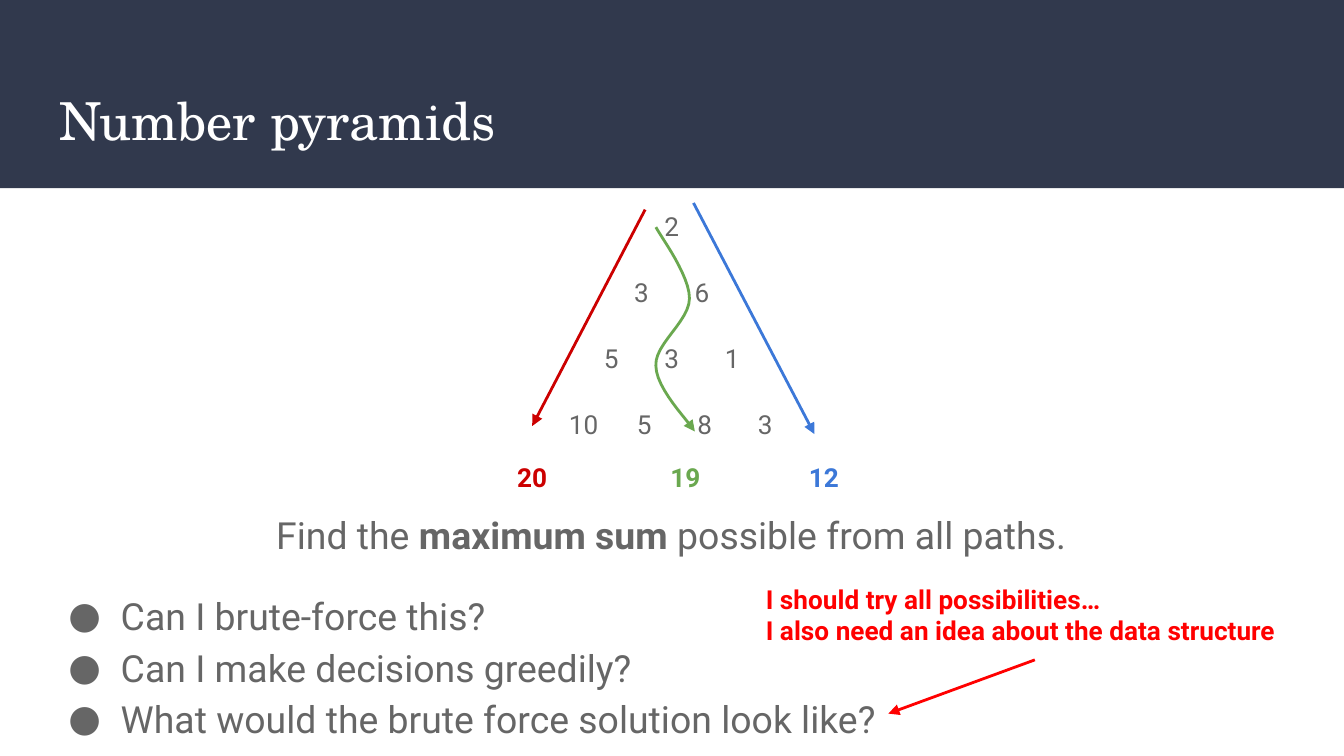
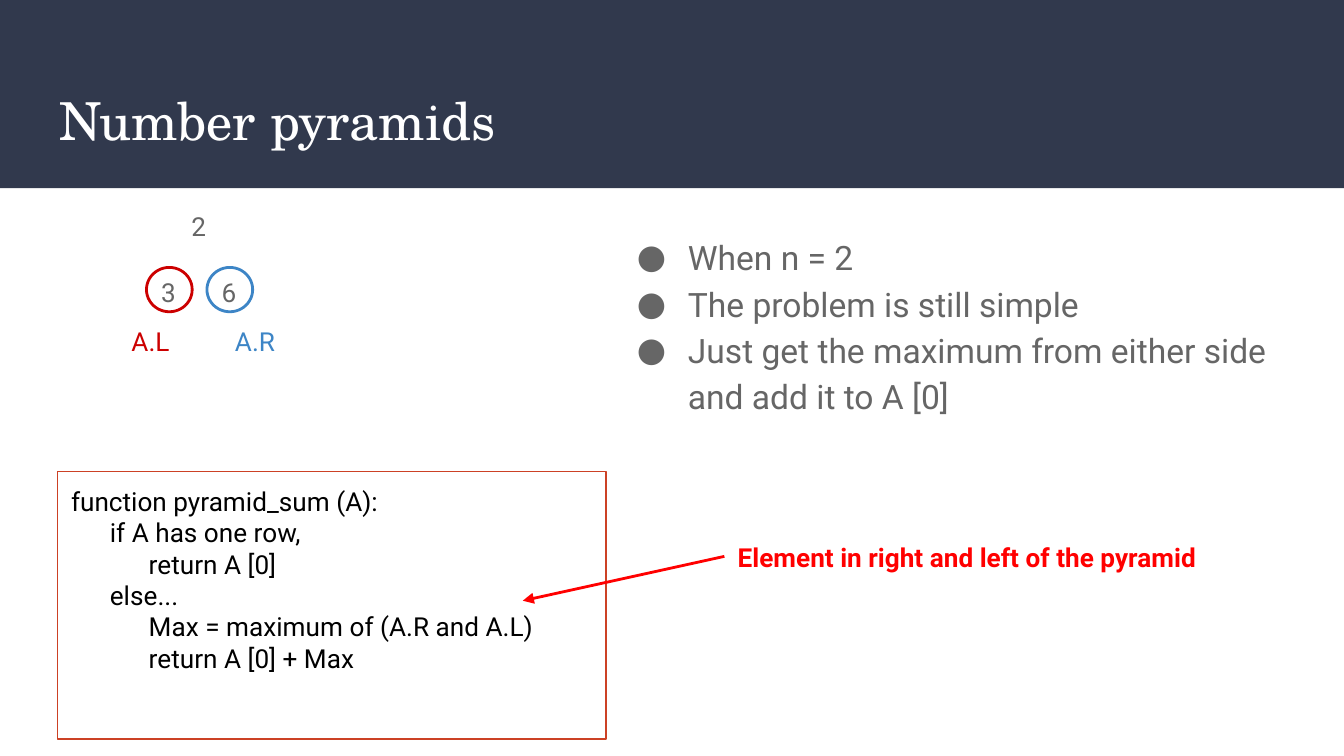
from dataclasses import dataclass
from lxml.etree import SubElement
from pptx import Presentation
from pptx.dml.color import RGBColor
from pptx.enum.shapes import MSO_CONNECTOR, MSO_SHAPE
from pptx.enum.text import MSO_ANCHOR, MSO_AUTO_SIZE, PP_ALIGN
from pptx.oxml.ns import qn
from pptx.util import Inches, Pt


@dataclass(frozen=True)
class Theme:
    # Colours
    band: str = "31394D"
    white: str = "FFFFFF"
    grey: str = "666666"
    black: str = "000000"
    left: str = "CC0000"
    right: str = "3C78D8"
    mid: str = "6AA84F"
    ring: str = "3D85C6"
    frame: str = "CC4125"
    note: str = "FF0000"
    # Fonts and sizes
    head: str = "TeX Gyre Schola"
    body: str = "Roboto"
    title: int = 28
    lead: int = 20
    list: int = 18
    small: int = 14
    line: float = 1.5
    thin: float = 0.75


def spot(*sizes):
    return [Inches(size) for size in sizes]


class Deck:
    def __init__(self, theme):
        self.theme = theme
        self.file = Presentation()
        # Widescreen, 16 to 9
        self.file.slide_width, self.file.slide_height = spot(10, 10 * 9 / 16)
        self.slide = None

    def page(self, title):
        """Start a slide with the band and its title."""
        layout = self.file.slide_layouts[5]
        self.slide = self.file.slides.add_slide(layout)
        band = self.shape(MSO_SHAPE.RECTANGLE, (0, 0, 10, 1.4))
        band.fill.solid()
        band.fill.fore_color.rgb = RGBColor.from_string(self.theme.band)
        self.slide.shapes._spTree.insert(2, band._element)
        head = self.slide.shapes.title
        head.left, head.top, head.width, head.height = spot(0.34, 0.55, 9.32, 0.68)
        frame = self.fill(head, [title], self.theme.title, self.theme.white,
                          face=self.theme.head)
        frame.vertical_anchor = MSO_ANCHOR.MIDDLE

    def shape(self, kind, box, color=None, width=None):
        """Add an unfilled shape, with an outline if a colour is given."""
        item = self.slide.shapes.add_shape(kind, *spot(*box))
        item.fill.background()
        self.style(item, color, width)
        return item

    def style(self, item, color, width=None):
        item.shadow.inherit = False
        if color:
            item.line.color.rgb = RGBColor.from_string(color)
            item.line.width = Pt(width or self.theme.line)
        else:
            item.line.fill.background()

    def fill(self, item, lines, size, color, bold=False, face=None):
        """Write lines into a shape; *stars* mark bold words."""
        frame = item.text_frame
        frame.word_wrap = True
        frame.auto_size = MSO_AUTO_SIZE.NONE
        frame.vertical_anchor = MSO_ANCHOR.TOP
        frame.margin_left = frame.margin_right = Inches(0.1)
        frame.margin_top = frame.margin_bottom = Inches(0.1)
        frame.text = "\n".join(lines)
        for para in frame.paragraphs:
            para.alignment = PP_ALIGN.LEFT
            parts = para.text.split("*")
            para.text = parts[0]
            for part in parts[1:]:
                para.add_run().text = part
            for count, run in enumerate(para.runs):
                run.font.name = face or self.theme.body
                run.font.size = Pt(size)
                run.font.bold = bold or (len(parts) > 1 and count % 2 == 1)
                run.font.color.rgb = RGBColor.from_string(color)
        return frame

    def text(self, box, lines, color, size=None, bold=False):
        item = self.slide.shapes.add_textbox(*spot(*box))
        return self.fill(item, lines, size or self.theme.small, color, bold)

    def dots(self, paras, indent):
        """Turn paragraphs into a bulleted list."""
        for para in paras:
            para.line_spacing = 1.15
            props = para._p.get_or_add_pPr()
            props.set("marL", str(Inches(0.5)))
            props.set("indent", str(-Inches(indent)))
            tint = SubElement(props, qn("a:buClr"))
            SubElement(tint, qn("a:srgbClr"), val=self.theme.grey)
            SubElement(props, qn("a:buFont"), typeface=self.theme.body)
            SubElement(props, qn("a:buChar"), char="●")

    def pile(self, box, rows, pitch=0.45):
        """Set rows of numbers on centred tab stops, as a pyramid."""
        lines = ["".join("\t" + num for num in row) for row in rows]
        frame = self.text(box, lines, self.theme.grey)
        for level, (para, row) in enumerate(zip(frame.paragraphs, rows)):
            para.line_spacing = 1.15
            para.space_before = Pt(16 if level else 0)
            # A wide first number pushes its row slightly right
            mid = box[2] / 2 - 0.1 + 0.02 * (len(row[0]) - 1)
            first = mid - pitch * (len(row) - 1) / 2
            tabs = SubElement(para._p.get_or_add_pPr(), qn("a:tabLst"))
            for col in range(len(row)):
                place = Inches(first + col * pitch)
                SubElement(tabs, qn("a:tab"), pos=str(place), algn="ctr")

    def tip(self, item):
        SubElement(item.line._get_or_add_ln(), qn("a:tailEnd"), type="triangle")

    def arrow(self, start, end, color):
        item = self.slide.shapes.add_connector(
            MSO_CONNECTOR.STRAIGHT, *spot(*start, *end))
        item.line.color.rgb = RGBColor.from_string(color)
        item.line.width = Pt(self.theme.line)
        self.tip(item)
        SubElement(item._element.spPr, qn("a:effectLst"))

    def curve(self, start, bends, color, steps=12):
        """Draw cubic bends, each given as two handles and an end."""
        points, last = [], start
        for bend in bends:
            knots = (last, *bend)
            for step in range(1, steps + 1):
                t = step / steps
                rates = ((1 - t) ** 3, 3 * t * (1 - t) ** 2,
                         3 * t ** 2 * (1 - t), t ** 3)
                points.append(spot(*(
                    sum(rate * knot[axis] for rate, knot in zip(rates, knots))
                    for axis in (0, 1))))
            last = bend[-1]
        path = self.slide.shapes.build_freeform(*spot(*start))
        path.add_line_segments(points, close=False)
        item = path.convert_to_shape()
        item.fill.background()
        self.style(item, color)
        self.tip(item)


def paths(deck):
    look = deck.theme
    deck.page("Number pyramids")

    # Task and questions
    frame = deck.text((0.3, 3.66, 9.39, 1.99), [
        "Find the *maximum sum* possible from all paths.",
        "Can I brute-force this?",
        "Can I make decisions greedily?",
        "What would the brute force solution look like?",
    ], look.grey, look.lead)
    task, *asks = frame.paragraphs
    task.alignment = PP_ALIGN.CENTER
    task.line_spacing = 1.15
    deck.dots(asks, 0.39)
    asks[0].space_before = Pt(16)

    # Pyramid with three paths and their sums
    deck.pile((1.55, 1.43, 6.9, 2.08),
              [["2"], ["3", "6"], ["5", "3", "1"], ["10", "5", "8", "3"]])
    deck.arrow((4.8, 1.56), (3.96, 3.17), look.left)
    deck.arrow((5.16, 1.51), (6.06, 3.23), look.right)
    deck.curve((4.88, 1.69), [
        ((4.93, 1.78), (5.13, 2.05), (5.13, 2.22)),
        ((5.13, 2.39), (4.87, 2.56), (4.88, 2.72)),
        ((4.88, 2.89), (5.12, 3.13), (5.17, 3.21)),
    ], look.mid)
    for left, width, total, color in ((3.75, 0.49, "20", look.left),
                                      (4.89, 0.49, "19", look.mid),
                                      (5.92, 0.66, "12", look.right)):
        deck.text((left, 3.33, width, 0.44), [total], color, bold=True)

    # Hint, one paragraph with a line break
    deck.text((5.6, 4.24, 4.19, 0.67), [
        "I should try all possibilities… \v"
        "I also need an idea about the data structure",
    ], look.note, bold=True)
    deck.arrow((7.7, 4.91), (6.61, 5.31), look.note)


def code(deck):
    look = deck.theme
    deck.page("Number pyramids")

    # Pseudocode
    panel = deck.shape(MSO_SHAPE.RECTANGLE, (0.43, 3.51, 4.08, 1.99),
                       look.frame, look.thin)
    deck.fill(panel, [
        "function pyramid_sum (A):",
        "      if A has one row,",
        "            return A [0]",
        "      else...",
        "            Max = maximum of (A.R and A.L)",
        "            return A [0] + Max",
    ], look.small, look.black)

    # Small pyramid with both sides marked
    deck.pile((0.18, 1.43, 2.6, 1.99), [["2"], ["3", "6"]])
    for ring, left, name, color in ((1.09, 0.88, "A.L", look.left),
                                    (1.54, 1.65, "A.R", look.ring)):
        deck.shape(MSO_SHAPE.OVAL, (ring, 1.99, 0.34, 0.33), color)
        deck.text((left, 2.32, 0.51, 0.44), [name], color)

    # Explanation
    frame = deck.text((4.52, 1.62, 5.18, 4.03), [
        "When n = 2",
        "The problem is still simple",
        "Just get the maximum from either side and add it to A [0]",
    ], look.grey, look.list)
    deck.dots(frame.paragraphs, 0.38)

    # Hint
    deck.text((5.39, 3.93, 3.71, 0.44),
              ["Element in right and left of the pyramid"], look.note, bold=True)
    deck.arrow((5.39, 4.14), (3.89, 4.47), look.note)


def main():
    deck = Deck(Theme())
    paths(deck)
    code(deck)
    deck.file.save("out.pptx")


if __name__ == "__main__":
    main()
